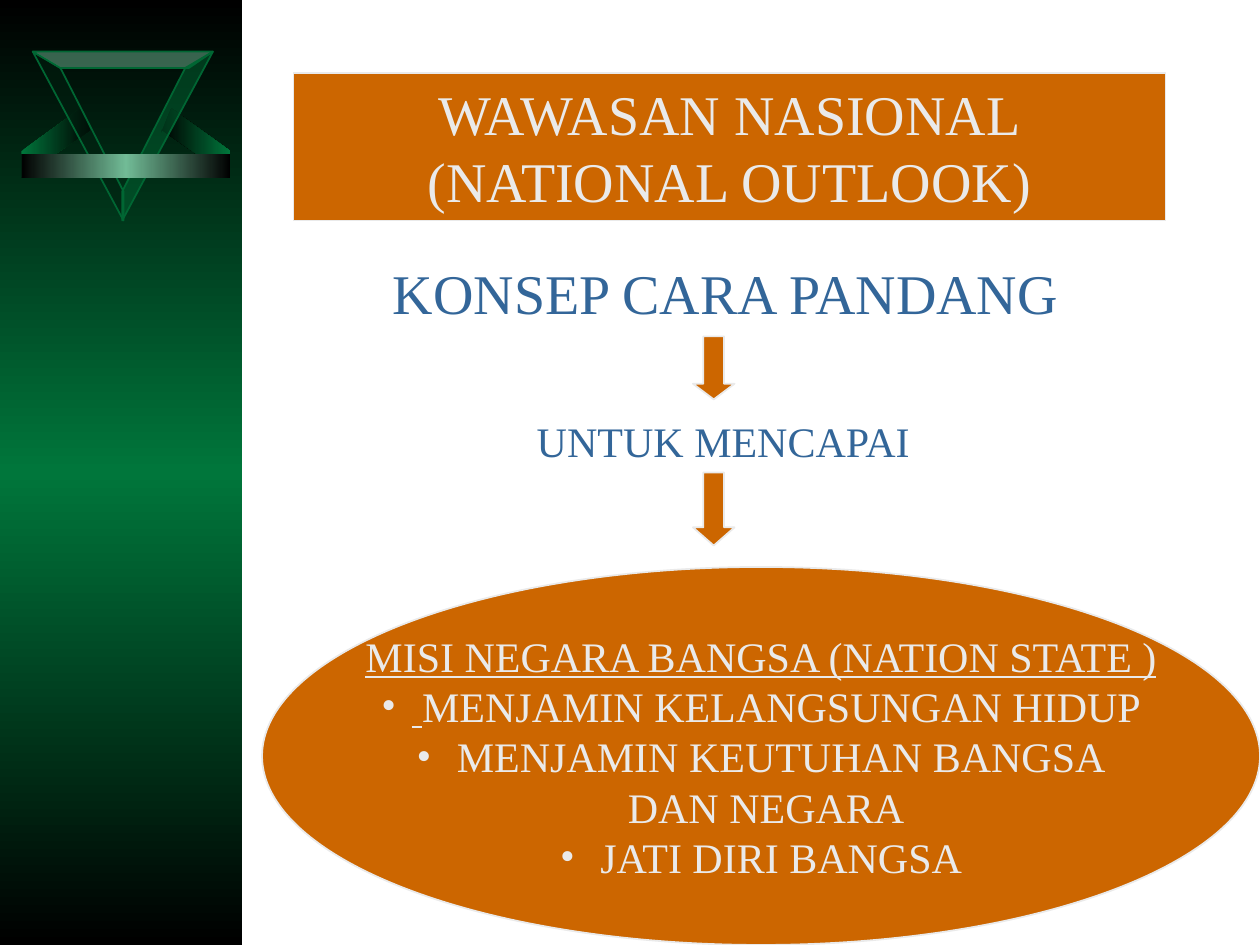
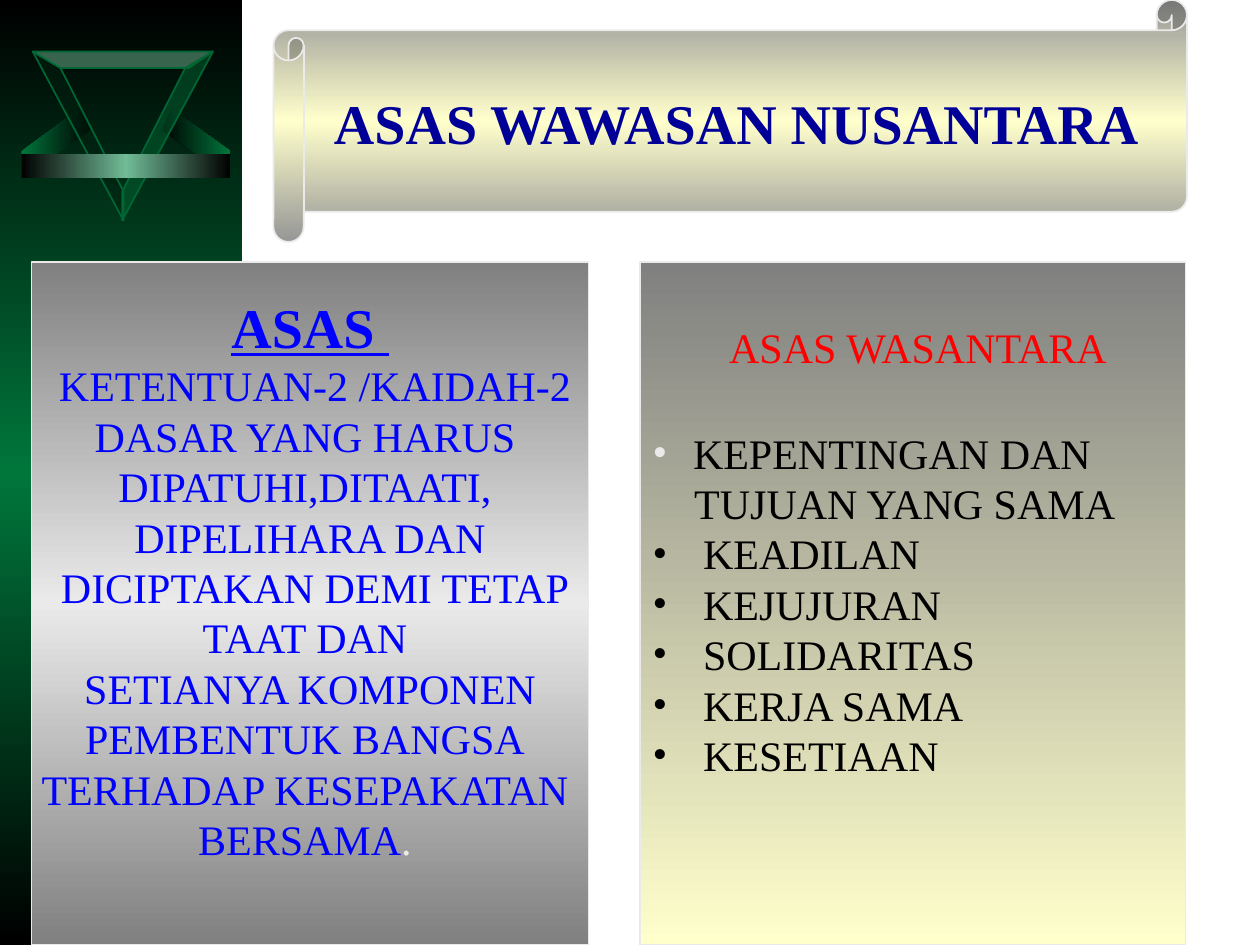
from dataclasses import dataclass
from typing import NamedTuple

from lxml import etree
from pptx import Presentation
from pptx.dml.color import RGBColor
from pptx.enum.shapes import MSO_SHAPE
from pptx.enum.text import MSO_ANCHOR, MSO_AUTO_SIZE, PP_ALIGN
from pptx.oxml.ns import qn
from pptx.util import Inches, Pt

RECT, OVAL = MSO_SHAPE.RECTANGLE, MSO_SHAPE.OVAL
DOWN, SCROLL = MSO_SHAPE.DOWN_ARROW, MSO_SHAPE.HORIZONTAL_SCROLL
LEFT, MID = PP_ALIGN.LEFT, PP_ALIGN.CENTER
TOP, CENTRE = MSO_ANCHOR.TOP, MSO_ANCHOR.MIDDLE
NO_FIT = MSO_AUTO_SIZE.NONE

FACE = "Times New Roman"
PALE, RUST, STEEL, BLUE = "EAEAEA", "CC6600", "336699", "0000FF"
NAVY, RED, BLACK, GREY, CREAM = "000099", "FF0000", "000000", "808080", "FFFFCC"
GREEN, MINT, EDGE, DARK = "00763B", "71BB96", "006633", "002010"


class Box(NamedTuple):
    left: float
    top: float
    width: float
    height: float

    def size(self) -> list:
        return [Inches(v) for v in self]


class Run(NamedTuple):
    text: str
    tint: str
    size: int = 24
    bold: bool = False
    under: bool = False


@dataclass
class Para:
    runs: list
    left: float = 0
    right: float = 0
    bullet: str = ""
    align: int = MID


@dataclass
class Facet:
    points: list
    fill: object
    alpha: int = 100
    edge: str = ""


def paint(part, tint: str) -> None:
    """Give a fill or a line one solid colour."""
    part.solid()
    part.fore_color.rgb = RGBColor.from_string(tint)


def blend(shape, tints: list, angle: int) -> None:
    """Fill with evenly spaced gradient stops."""
    paint(shape.fill, tints[0])
    props = shape.element.spPr
    grad = etree.Element(qn("a:gradFill"), rotWithShape="1")
    stops = etree.SubElement(grad, qn("a:gsLst"))
    for i, tint in enumerate(tints):
        stop = etree.SubElement(stops, qn("a:gs"), pos=str(100000 * i // (len(tints) - 1)))
        etree.SubElement(stop, qn("a:srgbClr"), val=tint)
    etree.SubElement(grad, qn("a:lin"), ang=str(angle * 60000), scaled="0")
    props.replace(props.find(qn("a:solidFill")), grad)


def dress(shape, fill, edge: str = "", angle: int = 90) -> None:
    """Set fill (a colour or a list of stops) and outline."""
    if isinstance(fill, list):
        blend(shape, fill, angle)
    else:
        paint(shape.fill, fill)
    if edge:
        paint(shape.line.fill, edge)
        shape.line.width = Pt(1)
    else:
        shape.line.fill.background()


def draw(shapes, kind: int, box: Box, fill, edge: str = "", angle: int = 90):
    shape = shapes.add_shape(kind, *box.size())
    shape.shadow.inherit = False
    dress(shape, fill, edge, angle)
    return shape


def place(holder, box: Box):
    """Move a placeholder and bring it to the front."""
    holder.left, holder.top, holder.width, holder.height = box.size()
    tree = holder.element.getparent()
    tree.append(holder.element)
    return holder


def write(shape, paras: list, anchor: int = CENTRE, side: float = 0.1,
          base: float = 0.05, wrap: bool = True) -> None:
    frame = shape.text_frame
    form = {"word_wrap": wrap, "auto_size": NO_FIT, "vertical_anchor": anchor,
            "margin_left": Inches(side), "margin_right": Inches(side),
            "margin_top": Inches(0.05), "margin_bottom": Inches(base)}
    for key, value in form.items():
        setattr(frame, key, value)
    for i, item in enumerate(paras):
        para = frame.paragraphs[0] if i == 0 else frame.add_paragraph()
        props = para._p.get_or_add_pPr()
        props.set("marL", str(Inches(item.left)))
        props.set("marR", str(Inches(item.right)))
        props.set("indent", str(-Inches(item.left) if item.bullet else 0))
        if item.bullet:
            tint = etree.SubElement(props, qn("a:buClr"))
            etree.SubElement(tint, qn("a:srgbClr"), val=item.bullet)
            etree.SubElement(props, qn("a:buFont"), typeface=FACE)
            etree.SubElement(props, qn("a:buChar"), char="•")
        else:
            etree.SubElement(props, qn("a:buNone"))
        form = {"alignment": item.align, "line_spacing": 1.0,
                "space_before": Pt(0), "space_after": Pt(0)}
        for key, value in form.items():
            setattr(para, key, value)
        for part in item.runs:
            run = para.add_run()
            run.text = part.text
            form = {"name": FACE, "size": Pt(part.size), "bold": part.bold,
                    "underline": part.under}
            for key, value in form.items():
                setattr(run.font, key, value)
            paint(run.font.fill, part.tint)


def label(slide, box: Box, run: Run) -> None:
    """Write one centred line that never wraps."""
    write(slide.shapes.add_textbox(*box.size()), [Para([run])], TOP, side=0, wrap=False)


def mirror(points: list, width: float) -> list:
    return [(width - x, y) for x, y in points]


# Side band and emblem shared by every slide
WING = [(1.83, 1.2), (1.83, 1.41), (1.28, 1.03), (1.28, 1.05), (1.36, 0.86)]
SIDE = [(0.98, 1.75), (0.98, 1.52), (0.48, 0.54), (0.26, 0.41)]
LID = [(0.26, 0.41), (0.48, 0.54), (1.5, 0.54), (1.69, 0.41)]
FACETS = [
    Facet(WING, [BLACK, GREEN]),
    Facet(mirror(WING, 2), [GREEN, BLACK]),
    Facet(SIDE, DARK, 50, EDGE),
    Facet(LID, MINT, 50, EDGE),
    Facet(mirror(SIDE, 1.95), EDGE, 50, EDGE),
]


def brand(slide, layout) -> None:
    """Draw the band and emblem, then hand them to the layout."""
    group = slide.shapes.add_group_shape()
    draw(group.shapes, RECT, Box(0, 0, 1.92, 7.5), [BLACK, GREEN, BLACK])
    for facet in FACETS:
        first, *rest = [(Inches(x), Inches(y)) for x, y in facet.points]
        pen = group.shapes.build_freeform(*first, scale=1.0)
        pen.add_line_segments(rest, close=True)
        shape = pen.convert_to_shape()
        shape.shadow.inherit = False
        dress(shape, facet.fill, facet.edge, 0)
        if facet.alpha < 100:
            tint = shape.element.spPr.find(qn("a:solidFill"))[0]
            etree.SubElement(tint, qn("a:alpha"), val=str(facet.alpha * 1000))
    draw(group.shapes, RECT, Box(0.17, 1.22, 1.66, 0.19), [BLACK, MINT, BLACK], angle=0)
    layout.shapes.element.insert(2, group.element)


def outlook(slide) -> None:
    # Title and the steps below it
    title = place(slide.shapes.title, Box(2.33, 0.58, 6.92, 1.17))
    dress(title, RUST, PALE)
    write(title, [Para([Run(text, PALE, 32)])
                  for text in ("WAWASAN NASIONAL", "(NATIONAL OUTLOOK)")])
    label(slide, Box(3.08, 2, 5.36, 0.65), Run("KONSEP CARA PANDANG", STEEL, 32))
    label(slide, Box(3.5, 3.25, 4.48, 0.5), Run("UNTUK MENCAPAI", STEEL))
    for top, height, head in ((2.67, 0.5, 0.375), (3.75, 0.58, 0.437)):
        arrow = draw(slide.shapes, DOWN, Box(5.5, top, 0.33, height), RUST, PALE)
        arrow.adjustments[1] = head

    # Mission list in the ellipse
    box = Box(2.08, 4.5, 7.92, 3)
    draw(slide.shapes, OVAL, box, RUST, PALE)
    write(place(slide.placeholders[1], box), [
        Para([Run("MISI NEGARA BANGSA (NATION STATE )", PALE, under=True)]),
        Para([Run(" ", PALE, under=True), Run("MENJAMIN KELANGSUNGAN HIDUP", PALE)],
             0.24, bullet=PALE),
        Para([Run("MENJAMIN KEUTUHAN BANGSA", PALE)], 0.32, bullet=PALE),
        Para([Run("DAN NEGARA", PALE)], 0.08),
        Para([Run("JATI DIRI BANGSA", PALE)], 0.32, bullet=PALE),
    ])


def basis(slide) -> None:
    # Scroll with the title
    draw(slide.shapes, SCROLL, Box(2.17, 0, 7.25, 1.92), ["969696", CREAM, "969696"], PALE)
    write(place(slide.shapes.title, Box(2.28, 0.22, 7.13, 1.5)),
          [Para([Run("ASAS WAWASAN NUSANTARA", NAVY, 32, True)])])

    # Definition on the left; each line has its own slight offset
    lines = [("KETENTUAN-2 /KAIDAH-2", 0.08, 0), ("DASAR YANG HARUS", 0, 0.08),
             ("DIPATUHI,DITAATI,", 0, 0.08), ("DIPELIHARA DAN", 0, 0),
             ("DICIPTAKAN DEMI TETAP", 0.08, 0), ("TAAT DAN", 0, 0.08),
             ("SETIANYA KOMPONEN", 0, 0), ("PEMBENTUK BANGSA", 0, 0.08),
             ("TERHADAP KESEPAKATAN", 0, 0.08)]
    panel = draw(slide.shapes, RECT, Box(0.25, 2.08, 4.42, 5.42), [GREY, PALE, GREY], PALE)
    write(panel, [Para([Run("ASAS ", BLUE, 32, True, True)])]
          + [Para([Run(text, BLUE)], left, right) for text, left, right in lines]
          + [Para([Run("BERSAMA", BLUE), Run(".", PALE)], 0, 0.08)], side=0, base=0.45)

    # Principles on the right
    panel = place(slide.placeholders[1], Box(5.08, 2.08, 4.33, 5.42))
    dress(panel, [GREY, CREAM], PALE)
    names = ["KEADILAN", "KEJUJURAN", "SOLIDARITAS", "KERJA SAMA", "KESETIAAN"]
    write(panel, [
        Para([Run("KEPENTINGAN DAN", BLACK)], 0.32, bullet=PALE, align=LEFT),
        Para([Run("TUJUAN YANG SAMA", BLACK)], 0.33, align=LEFT),
    ] + [Para([Run(name, BLACK)], 0.4, bullet=BLACK, align=LEFT) for name in names])
    label(slide, Box(5.2, 2.5, 4.17, 0.66), Run("ASAS WASANTARA", RED))


def main() -> None:
    deck = Presentation()
    deck.slide_width, deck.slide_height = Inches(10), Inches(7.5)
    layout = deck.slide_layouts[1]
    first, second = [deck.slides.add_slide(layout) for _ in range(2)]
    brand(first, layout)
    outlook(first)
    basis(second)
    deck.save("out.pptx")


if __name__ == "__main__":
    main()
